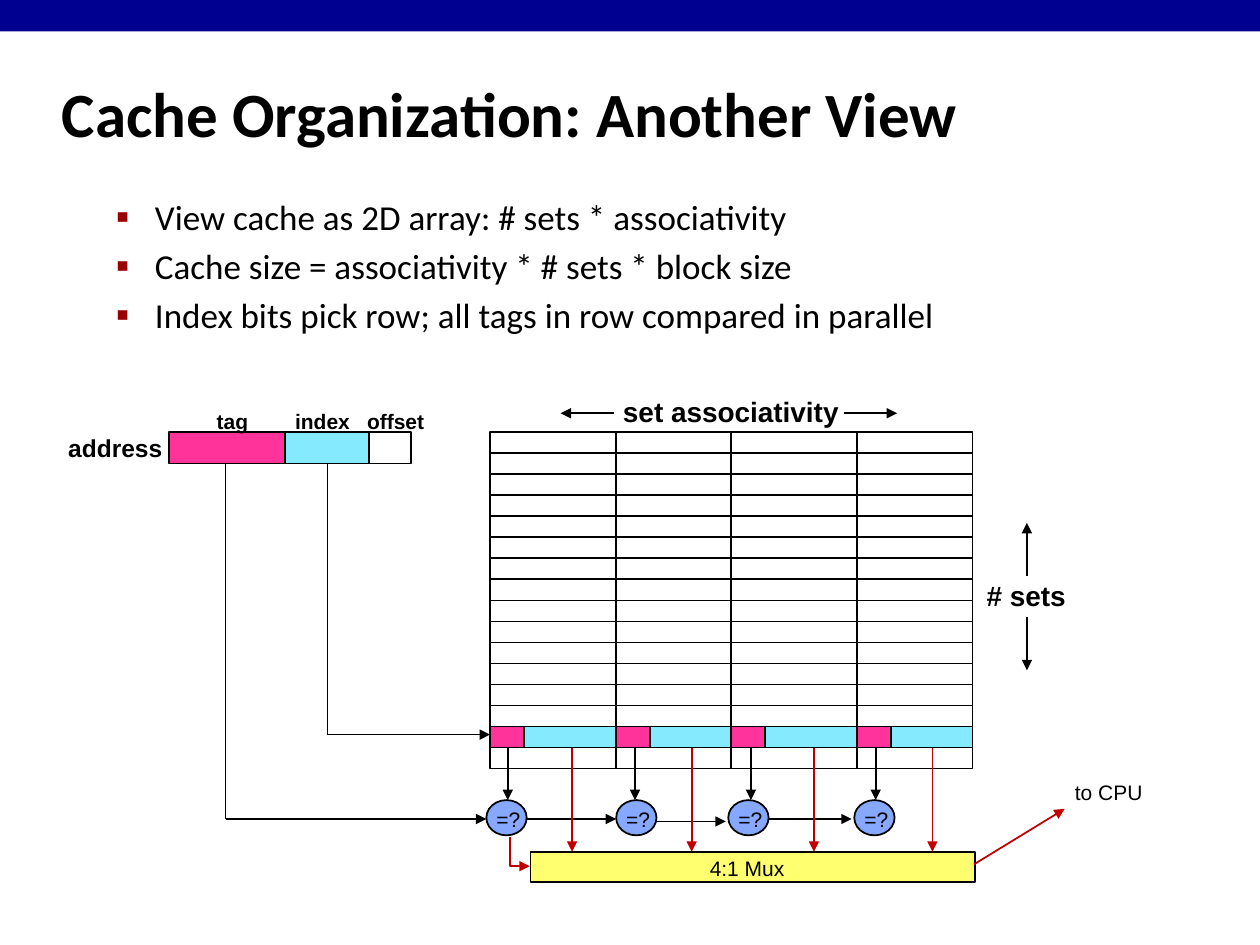
from dataclasses import dataclass

from pptx import Presentation
from pptx.dml.color import RGBColor
from pptx.enum.shapes import MSO_CONNECTOR, MSO_SHAPE
from pptx.enum.text import MSO_ANCHOR, MSO_AUTO_SIZE, PP_ALIGN
from pptx.oxml import parse_xml
from pptx.oxml.ns import nsdecls, qn
from pptx.oxml.xmlchemy import OxmlElement
from pptx.util import Inches, Pt


@dataclass
class Theme:
    ink: str = "000000"
    band: str = "000090"
    bullet: str = "990000"
    tag: str = "FF3399"
    index: str = "86EAFE"
    compare: str = "86A8FE"
    mux: str = "FFFF6F"
    data: str = "C00000"
    title_size: int = 36
    body_size: int = 20
    axis_size: int = 16
    address_size: int = 14
    label_size: int = 12
    line_width: int = 1
    heading_font: str = "Calibri"
    label_font: str = "Arial"


theme = Theme()
prs = Presentation()
prs.slide_width, prs.slide_height = Inches(10), Inches(7.5)
s = prs.slides.add_slide(prs.slide_layouts[1])


def add_box(x, y, w, h, fill=None, line=theme.ink, kind=MSO_SHAPE.RECTANGLE):
    sp = s.shapes.add_shape(kind, Inches(x), Inches(y), Inches(w), Inches(h))
    sp.shadow.inherit = False
    if fill:
        sp.fill.solid()
        sp.fill.fore_color.rgb = RGBColor.from_string(fill)
    else:
        sp.fill.background()
    if line:
        sp.line.color.rgb = RGBColor.from_string(line)
        sp.line.width = Pt(theme.line_width)
    else:
        sp.line.fill.background()


def add_line(x1, y1, x2, y2, color=theme.ink, arrow=False, kind=MSO_CONNECTOR.STRAIGHT):
    c = s.shapes.add_connector(kind, Inches(x1), Inches(y1), Inches(x2), Inches(y2))
    c.line.color.rgb = RGBColor.from_string(color)
    c.line.width = Pt(theme.line_width)
    if arrow:
        tail = OxmlElement("a:tailEnd")
        tail.set("type", "triangle")
        c.line._get_or_add_ln().append(tail)
    c._element.spPr.append(OxmlElement("a:effectLst"))
    return c


# Top band
add_box(0, 0, 10, 0.25, theme.band, None)

# Title
title = s.shapes.title
title.left, title.top, title.width, title.height = map(Inches, (0.39, 0.48, 8.3, 0.83))
tf = title.text_frame
tf.auto_size = MSO_AUTO_SIZE.NONE
tf.vertical_anchor = MSO_ANCHOR.MIDDLE
p = tf.paragraphs[0]
p.alignment = PP_ALIGN.LEFT
r = p.add_run()
r.text = "Cache Organization: Another View"
r.font.name, r.font.size, r.font.bold = theme.heading_font, Pt(theme.title_size), True
r.font.color.rgb = RGBColor.from_string(theme.ink)

# Bullets
body = s.placeholders[1]
body.left, body.top, body.width, body.height = map(Inches, (0.32, 1.5, 9.09, 1.58))
tf = body.text_frame
tf.auto_size = MSO_AUTO_SIZE.NONE
bullets = [
    "View cache as 2D array: # sets * associativity",
    "Cache size = associativity * # sets * block size",
    "Index bits pick row; all tags in row compared in parallel",
]
for i, text in enumerate(bullets):
    p = tf.paragraphs[0] if i == 0 else tf.add_paragraph()
    p.level = 1
    p.space_before = Pt(4 if i else 0)
    pPr = p._p.get_or_add_pPr()
    pPr.set("marL", str(Inches(0.81)))
    pPr.set("indent", str(Inches(-0.31)))
    for xml in (
        f'<a:buClr {nsdecls("a")}><a:srgbClr val="{theme.bullet}"/></a:buClr>',
        f'<a:buSzPct {nsdecls("a")} val="110000"/>',
        f'<a:buFont {nsdecls("a")} typeface="{theme.label_font}"/>',
        f'<a:buChar {nsdecls("a")} char="▪"/>',
    ):
        pPr.append(parse_xml(xml))
    r = p.add_run()
    r.text = text
    r.font.name, r.font.size = theme.heading_font, Pt(theme.body_size)
    r.font.color.rgb = RGBColor.from_string(theme.ink)

# Cache array: one column per way, one row per set, with the selected row filled
left, top, right, bottom = 3.89, 3.43, 7.72, 6.1
rows, selected = 16, 14
row_h = (bottom - top) / rows
row_y = top + selected * row_h
ways = [left, 4.89, 5.8, 6.8]
add_box(left, row_y, right - left, row_h, theme.index)
add_box(left, top, right - left, bottom - top)
for i in range(1, rows):
    add_line(left, top + i * row_h, right, top + i * row_h)
for x in ways[1:]:
    add_line(x, top, x, bottom)
for x in ways:
    add_box(x, row_y, 0.27, row_h, theme.tag)

# Address fields
for x, w, fill in [(1.34, 0.92, theme.tag), (2.26, 0.67, theme.index), (2.93, 0.33, None)]:
    add_box(x, top, w, 0.25, fill)

# Index picks the row, tag goes to the comparators
for x, y, end in [(2.6, 5.83, left), (1.79, 6.5, 3.86)]:
    add_line(x, 3.68, x, y)
    add_line(x, y, end, y, arrow=True)

# Array dimension arrows
for ends in [(6.7, 3.28, 7.12, 3.28), (4.87, 3.28, 4.45, 3.28),
             (8.15, 4.57, 8.15, 4.15), (8.15, 4.9, 8.15, 5.32)]:
    add_line(*ends, arrow=True)

# Comparators, chained by the tag line
comparators = [3.86, 4.89, 5.78, 6.78]
for x in comparators:
    add_box(x, 6.35, 0.32, 0.28, theme.compare, kind=MSO_SHAPE.OVAL)
for x1, x2, y in [(4.18, 4.89, 6.5), (5.21, 5.76, 6.52), (6.1, 6.76, 6.5)]:
    add_line(x1, y, x2, y, arrow=True)
for x in (4.03, 5.04, 5.96, 6.95):
    add_line(x, 5.93, x, 6.35, arrow=True)

# Multiplexer with its data inputs, select line and output
add_box(4.21, 6.76, 3.53, 0.24, theme.mux)
for x in (4.54, 5.49, 6.46, 7.4):
    add_line(x, 5.94, x, 6.76, theme.data, arrow=True)
add_line(7.73, 6.86, 8.45, 6.42, theme.data, arrow=True)
select = add_line(4.24, 6.68, 4.01, 6.84, theme.data, True, MSO_CONNECTOR.ELBOW)
select._element.spPr.find(qn("a:prstGeom")).set("prst", "bentConnector2")
select._element.spPr.find(qn("a:xfrm")).set("rot", str(270 * 60000))

# Labels: text, left, top, width, height, size, bold
labels = [
    ("address", 0.44, 3.39, 0.95, 0.33, theme.address_size, True),
    ("set associativity", 4.84, 3.08, 1.92, 0.37, theme.axis_size, True),
    ("# sets", 7.73, 4.54, 0.83, 0.37, theme.axis_size, True),
    ("tag", 1.62, 3.19, 0.45, 0.3, theme.label_size, True),
    ("index", 2.24, 3.19, 0.64, 0.3, theme.label_size, True),
    ("offset", 2.74, 3.19, 0.8, 0.3, theme.label_size, True),
    ("to CPU", 8.38, 6.14, 0.84, 0.3, theme.label_size, False),
    ("4:1 Mux", 5.48, 6.74, 0.9, 0.3, theme.label_size, False),
]
labels += [("=?", x - 0.02, 6.35, 0.39, 0.3, theme.label_size, False) for x in comparators]
for text, x, y, w, h, size, bold in labels:
    tf = s.shapes.add_textbox(Inches(x), Inches(y), Inches(w), Inches(h)).text_frame
    tf.word_wrap = False
    tf.auto_size = MSO_AUTO_SIZE.SHAPE_TO_FIT_TEXT
    p = tf.paragraphs[0]
    p.alignment = PP_ALIGN.CENTER
    r = p.add_run()
    r.text = text
    r.font.name, r.font.size, r.font.bold = theme.label_font, Pt(size), bold
    r.font.color.rgb = RGBColor.from_string(theme.ink)

prs.save("out.pptx")
